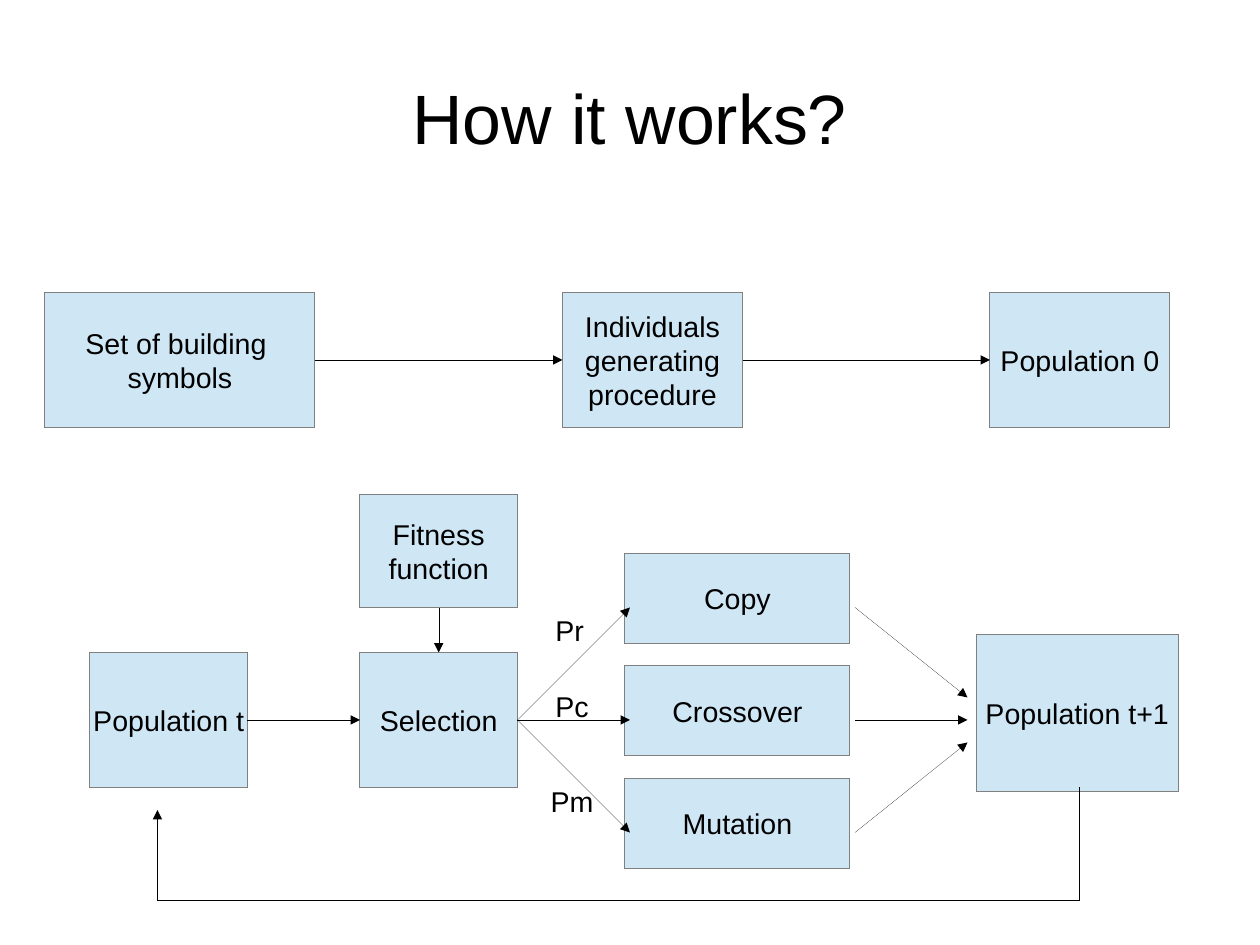
"""Build a slide that shows the loop of a genetic programming run."""
from dataclasses import dataclass
from typing import NamedTuple

import lxml.etree
import pptx
import pptx.dml.color
import pptx.enum.shapes
import pptx.enum.text
import pptx.oxml.ns
import pptx.util

Pt = pptx.util.Pt
RGB = pptx.dml.color.RGBColor
ALIGN = pptx.enum.text.PP_ALIGN
ANCHOR = pptx.enum.text.MSO_ANCHOR
FIT = pptx.enum.text.MSO_AUTO_SIZE
qn = pptx.oxml.ns.qn
TOP, LEFT, BOTTOM, RIGHT = range(4)


@dataclass(frozen=True)
class Theme:
    font: str = "Arial"
    head: float = 44
    body: float = 18
    ink: RGB = RGB(0x00, 0x00, 0x00)
    fill: RGB = RGB(0xCF, 0xE7, 0xF5)
    edge: RGB = RGB(0x80, 0x80, 0x80)


class Box(NamedTuple):
    key: str
    text: str
    x: float
    y: float
    w: float
    h: float


class Label(NamedTuple):
    text: str
    x: float
    y: float
    w: float


class Spot(NamedTuple):
    x: float
    y: float


class Joint(NamedTuple):
    key: str
    side: int


class Link(NamedTuple):
    start: Spot | Joint
    end: Spot | Joint
    arrow: bool = True


THEME = Theme()
ROW, HIGH = 184.25, 85.04
LOOP, MID = 411.02, 453.54
STEP = 70.87
BASE = 566.93
STEPS = ["Copy", "Crossover", "Mutation"]

BOXES = [
    Box("set", "Set of building \vsymbols", 28.35, ROW, 170.08, HIGH),
    Box("make", "Individuals\vgenerating\vprocedure", 354.33, ROW, 113.39, HIGH),
    Box("first", "Population 0", 623.62, ROW, 113.39, HIGH),
    Box("now", "Population t", 56.69, LOOP, 99.21, HIGH),
    Box("pick", "Selection", 226.77, LOOP, 99.21, HIGH),
    Box("fit", "Fitness\vfunction", 226.77, 311.81, 99.21, STEP),
    *[Box(name, name, 393.7, 348.66 + i * STEP, 141.73, 56.69)
      for i, name in enumerate(STEPS)],
    Box("next", "Population t+1", 614.83, 399.68, 127.56, 99.21),
]

LABELS = [
    Label("Pr", 342.72, 382.32, 32.4),
    Label("Pc", 342.72, 430.56, 35.6),
    Label("Pm", 339.84, 490.32, 42),
]

LINKS = [
    Link(Joint("set", RIGHT), Joint("make", LEFT)),
    Link(Joint("make", RIGHT), Joint("first", LEFT)),
    Link(Joint("now", RIGHT), Joint("pick", LEFT)),
    Link(Joint("fit", BOTTOM), Joint("pick", TOP)),
    *[Link(Joint("pick", RIGHT), Spot(396.85, MID + i * STEP))
      for i in (-1, 0, 1)],
    *[Link(Spot(538.58, MID + i * STEP), Spot(609.45, MID + i * 14.17))
      for i in (-1, 0, 1)],
    Link(Spot(680.31, 496.06), Spot(680.31, BASE), False),
    Link(Spot(99.21, BASE), Spot(680.31, BASE), False),
    Link(Spot(99.21, BASE), Spot(99.21, 510.24)),
]


def write(frame, text: str, size: float, align: ALIGN) -> None:
    frame.text = text
    for para in frame.paragraphs:
        para.alignment = align
        for run in para.runs:
            run.font.name = THEME.font
            run.font.size = Pt(size)
            run.font.color.rgb = THEME.ink


def trace(shape, color: RGB):
    shape.line.color.rgb = color
    edge = shape.element.spPr.find(qn("a:ln"))
    edge.set("w", "0")
    return edge


def draw_title(slide) -> None:
    title = slide.shapes.title
    title.left, title.top = Pt(39.69), Pt(23.76)
    title.width, title.height = Pt(714.24), Pt(99.36)
    frame = title.text_frame
    frame.margin_left = frame.margin_right = Pt(0)
    frame.margin_top = frame.margin_bottom = Pt(0)
    frame.vertical_anchor = ANCHOR.MIDDLE
    write(frame, "How it works?", THEME.head, ALIGN.CENTER)


def draw_box(slide, box: Box):
    shape = slide.shapes.add_shape(
        pptx.enum.shapes.MSO_SHAPE.RECTANGLE,
        Pt(box.x), Pt(box.y), Pt(box.w), Pt(box.h))
    shape.shadow.inherit = False
    shape.fill.solid()
    shape.fill.fore_color.rgb = THEME.fill
    trace(shape, THEME.edge)
    frame = shape.text_frame
    frame.word_wrap = False
    frame.vertical_anchor = ANCHOR.MIDDLE
    write(frame, box.text, THEME.body, ALIGN.CENTER)
    return shape


def draw_label(slide, label: Label) -> None:
    shape = slide.shapes.add_textbox(
        Pt(label.x), Pt(label.y), Pt(label.w), Pt(28.08))
    frame = shape.text_frame
    frame.word_wrap = False
    frame.auto_size = FIT.SHAPE_TO_FIT_TEXT
    write(frame, label.text, THEME.body, ALIGN.LEFT)


def draw_link(slide, link: Link, shapes: dict) -> None:
    spots = [Spot(0, 0) if isinstance(end, Joint) else end
             for end in (link.start, link.end)]
    line = slide.shapes.add_connector(
        pptx.enum.shapes.MSO_CONNECTOR.STRAIGHT,
        *[Pt(value) for spot in spots for value in spot])
    if isinstance(link.start, Joint):
        line.begin_connect(shapes[link.start.key], link.start.side)
    if isinstance(link.end, Joint):
        line.end_connect(shapes[link.end.key], link.end.side)
    edge = trace(line, THEME.ink)
    if link.arrow:
        lxml.etree.SubElement(edge, qn("a:tailEnd"), type="triangle")
    lxml.etree.SubElement(line.element.spPr, qn("a:effectLst"))


def main() -> None:
    deck = pptx.Presentation()
    deck.slide_width, deck.slide_height = Pt(793.7), Pt(595.28)
    slide = deck.slides.add_slide(deck.slide_layouts[5])
    draw_title(slide)
    shapes = {box.key: draw_box(slide, box) for box in BOXES}
    for link in LINKS:
        draw_link(slide, link, shapes)
    for label in LABELS:
        draw_label(slide, label)
    deck.save("out.pptx")


if __name__ == "__main__":
    main()
